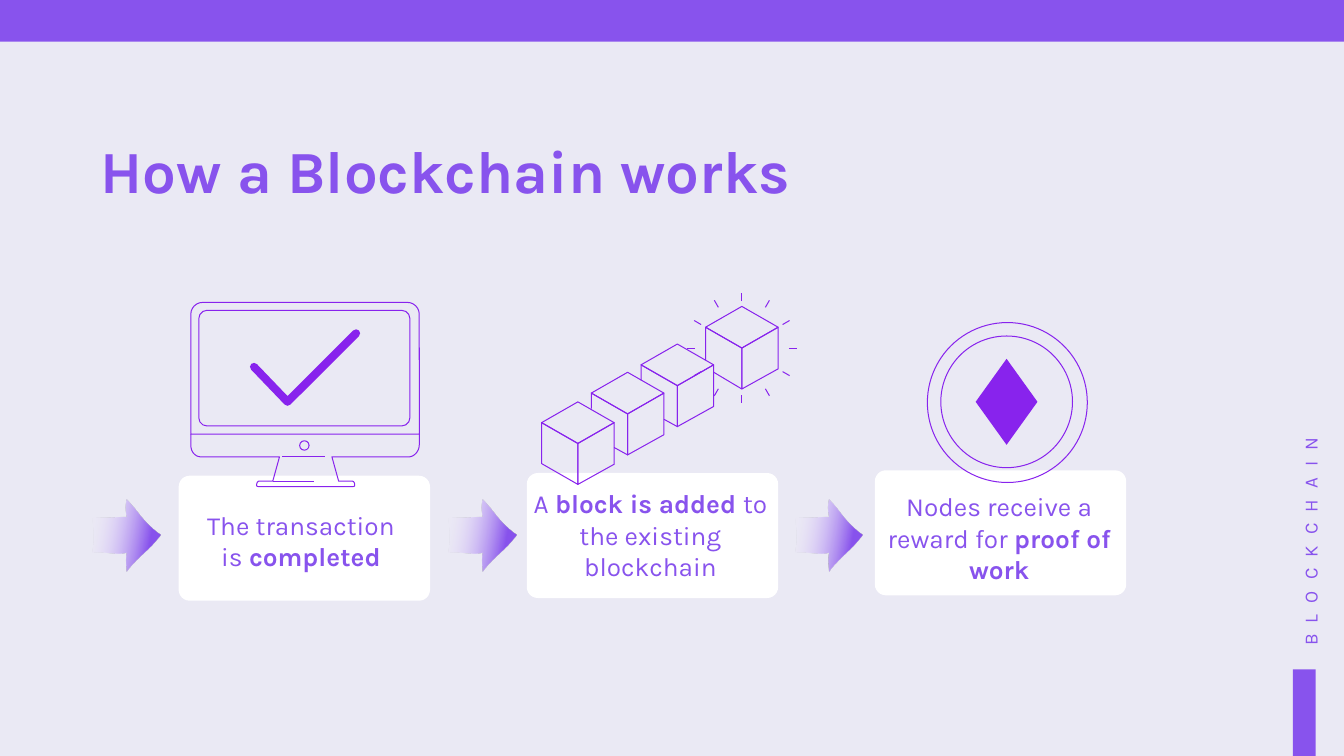
"""Builds the slide that explains the last three steps of a blockchain."""
import math
from dataclasses import dataclass

from lxml import etree
from pptx import Presentation
from pptx import util as u
from pptx.dml.color import RGBColor
from pptx.enum import shapes, text
from pptx.oxml import ns

Point = tuple[float, ...]
Run = tuple[str, bool]
Box = tuple[float, float, float, float]


@dataclass(frozen=True)
class Theme:
    background: RGBColor = RGBColor(0xEA, 0xE9, 0xF4)
    main: RGBColor = RGBColor(0x88, 0x53, 0xED)
    icon: RGBColor = RGBColor(0x88, 0x23, 0xED)
    pale: RGBColor = RGBColor(0xF9, 0xF4, 0xFE)
    card: RGBColor = RGBColor(0xFF, 0xFF, 0xFF)
    font: str = "Karla"
    title_size: float = 32
    body_size: float = 14
    label_size: float = 10
    thin: float = 0.54
    thick: float = 4.28


@dataclass(frozen=True)
class Step:
    arrow_left: float
    card_top: float
    caption_box: Box
    caption: list[Run]


@dataclass(frozen=True)
class Cube:
    x: float
    y: float
    left_start: float = 0.15
    cut: tuple[float, float] | None = None


THEME = Theme()
SLIDE_WIDTH = u.Inches(10)
SLIDE_HEIGHT = SLIDE_WIDTH * 9 // 16
CARD_LEFT, CARD_PITCH, CARD_WIDTH, CARD_HEIGHT = 1.33, 2.59, 1.87, 0.93
STEPS = [
    Step(0.69, 3.54, (1.46, 3.79, 1.56, 0.41),
         [("The transaction is ", False), ("completed", True)]),
    Step(3.34, 3.52, (3.9, 3.63, 1.88, 0.6),
         [("A ", False), ("block is added ", True), ("to the existing blockchain", False)]),
    Step(5.92, 3.5, (6.58, 3.65, 1.71, 0.41),
         [("Nodes receive a reward for ", False), ("proof of work", True)]),
]
CUBES = [Cube(4.3, 3.3), Cube(4.67, 3.08, -0.04, (-0.1, 0.25)),
         Cube(5.04, 2.87, -0.04, (-0.1, 0.25)), Cube(5.52, 2.59, 0.09, (-0.21, 0.18))]
ARROW = [(0, 0.13), (0.12, 0.14, 0.15, 0.13, 0.25, 0.13), (0.24, 0.07, 0.24, 0.05, 0.25, 0),
         (0.34, 0.09, 0.37, 0.17, 0.5, 0.26), (0.42, 0.37, 0.32, 0.43, 0.25, 0.53),
         (0.25, 0.5, 0.24, 0.45, 0.25, 0.39), (0.18, 0.41, 0.1, 0.38, 0, 0.39),
         (0.02, 0.29, 0.01, 0.21, 0, 0.13)]
STAND = [(1.42, 3.23), (1.42, 3.31), (1.42, 3.36, 1.45, 3.4, 1.5, 3.4), (2.08, 3.4),
         (2.03, 3.58), (1.93, 3.58), (1.92, 3.58, 1.91, 3.59, 1.91, 3.61),
         (1.91, 3.61, 1.91, 3.62, 1.92, 3.62), (2.63, 3.62),
         (2.63, 3.62, 2.64, 3.62, 2.64, 3.61), (2.64, 3.59, 2.63, 3.58, 2.62, 3.58),
         (2.52, 3.58), (2.47, 3.4), (3.04, 3.4), (3.08, 3.4, 3.12, 3.36, 3.12, 3.31),
         (3.12, 3.23)]


def inches(values: Point) -> list[u.Length]:
    """Turn plain numbers into lengths."""
    return [u.Inches(value) for value in values]


def paint(shape, fill: RGBColor | None = None, line: float | None = None) -> None:
    """Set fill and outline and drop the shadow."""
    shape.shadow.inherit = False
    if fill is None:
        shape.fill.background()
    else:
        shape.fill.solid()
        shape.fill.fore_color.rgb = fill
    if line is None:
        shape.line.fill.background()
    else:
        shape.line.color.rgb = THEME.icon
        shape.line.width = u.Pt(line)


def add_preset(parent, kind, box: Box, fill=None, line=None, adjust: tuple = ()):
    """Add a preset shape."""
    shape = parent.add_shape(kind, *inches(box))
    for index, value in enumerate(adjust):
        shape.adjustments[index] = value
    paint(shape, fill, line)
    return shape


def flatten(segments: list[Point], steps: int = 12) -> list[Point]:
    """Turn lines and cubic curves into a list of points."""
    points = [segments[0]]
    for segment in segments[1:]:
        if len(segment) == 2:
            points.append(segment)
            continue
        x0, y0 = points[-1]
        x1, y1, x2, y2, x3, y3 = segment
        for t in (n / steps for n in range(1, steps + 1)):
            a, b, c, d = (1 - t) ** 3, 3 * t * (1 - t) ** 2, 3 * t * t * (1 - t), t ** 3
            points.append((a * x0 + b * x1 + c * x2 + d * x3, a * y0 + b * y1 + c * y2 + d * y3))
    return points


def add_outline(parent, segments: list[Point], closed: bool = False, line: float | None = THEME.thin):
    """Add a freeform that follows the segments."""
    start, *rest = [inches(point) for point in flatten(segments)]
    builder = parent.build_freeform(*start, scale=1.0)
    builder.add_line_segments(rest, close=closed)
    shape = builder.convert_to_shape()
    paint(shape, line=line)
    return shape


def add_line(parent, start: Point, end: Point) -> None:
    """Add a thin straight line."""
    line = parent.add_connector(shapes.MSO_CONNECTOR.STRAIGHT, *inches(start + end))
    line.line.color.rgb = THEME.icon
    line.line.width = u.Pt(THEME.thin)
    etree.SubElement(line.element.spPr, ns.qn("a:effectLst"))


def write(frame, runs: list[Run], size: float, align, spacing: int = 0) -> None:
    """Write runs into a frame without margins."""
    frame.margin_left = frame.margin_top = frame.margin_right = frame.margin_bottom = 0
    frame.word_wrap = True
    frame.auto_size = text.MSO_AUTO_SIZE.NONE
    paragraph = frame.paragraphs[0]
    paragraph.alignment = align
    for words, bold in runs:
        run = paragraph.add_run()
        run.text = words
        run.font.name, run.font.size, run.font.bold = THEME.font, u.Pt(size), bold
        run.font.color.rgb = THEME.main
        if spacing:
            run.font._element.set("spc", str(spacing))


def draw_arrow(parent, left: float, top: float = 3.72) -> None:
    """Draw a curved arrow that fades in from the left."""
    moved = [tuple(v + (top if i % 2 else left) for i, v in enumerate(s)) for s in ARROW]
    arrow = add_outline(parent, moved, closed=True, line=None)
    arrow.fill.gradient()
    arrow.fill.gradient_angle = 350
    for stop, position, colour in zip(arrow.fill.gradient_stops, (0, 0.8), (THEME.pale, THEME.main)):
        stop.position = position
        stop.color.rgb = colour
    first = arrow.element.find(".//" + ns.qn("a:srgbClr"))
    etree.SubElement(first, ns.qn("a:alpha"), val="0")


def draw_monitor(parent) -> None:
    """Draw the monitor with a check mark."""
    kinds = shapes.MSO_SHAPE
    add_preset(parent, kinds.ROUND_2_SAME_RECTANGLE, (1.42, 2.25, 1.7, 0.98), None, THEME.thin, (0.09, 0))
    add_preset(parent, kinds.ROUNDED_RECTANGLE, (1.48, 2.31, 1.57, 0.86), None, THEME.thin, (0.07,))
    add_outline(parent, STAND)
    add_preset(parent, kinds.OVAL, (2.23, 3.28, 0.07, 0.07), None, THEME.thin)
    add_line(parent, (2.03, 3.58), (2.34, 3.58))
    add_line(parent, (2.1, 3.4), (2.42, 3.4))
    check = add_outline(parent, [(1.89, 2.73), (2.14, 2.99), (2.65, 2.48)], line=THEME.thick)
    outline = check.element.spPr.find(ns.qn("a:ln"))
    outline.set("cap", "rnd")
    etree.SubElement(outline, ns.qn("a:round"))


def draw_cubes(parent) -> None:
    """Draw the chain of cubes and the rays around the newest one."""
    half, rise, side = 0.27, 0.155, 0.305
    for cube in CUBES:
        x, y = cube.x, cube.y
        left = [(x - half, y + cube.left_start), (x - half, y - rise), (x, y), (x, y + side)]
        if cube.cut:
            left.append((x + cube.cut[0], y + cube.cut[1]))
        add_outline(parent, left, closed=cube.cut is None)
        add_outline(parent, [(x, y + side), (x + half, y + rise), (x + half, y - rise), (x, y)], True)
        add_outline(parent, [(x + half, y - rise), (x, y), (x - half, y - rise), (x, y - 2 * rise)], True)
    newest = CUBES[-1]
    for turn in range(12):
        across, down = math.cos(turn * math.pi / 6), math.sin(turn * math.pi / 6)
        inner, outer = ((newest.x + r * across, newest.y + r * down) for r in (0.35, 0.41))
        add_line(parent, inner, outer)


def draw_coin(parent) -> None:
    """Draw the reward coin with a plain mark."""
    for left, top, size in ((6.9, 2.4, 1.19), (7, 2.5, 0.98)):
        add_preset(parent, shapes.MSO_SHAPE.OVAL, (left, top, size, size), None, THEME.thin)
    add_preset(parent, shapes.MSO_SHAPE.DIAMOND, (7.26, 2.67, 0.46, 0.64), THEME.icon)


def build() -> None:
    """Build the slide and save it."""
    deck = Presentation()
    deck.slide_width, deck.slide_height = SLIDE_WIDTH, SLIDE_HEIGHT
    slide = deck.slides.add_slide(deck.slide_layouts[5])
    slide.background.fill.solid()
    slide.background.fill.fore_color.rgb = THEME.background
    parts = slide.shapes
    for bar in ((0, 0, 10, 0.31), (9.62, 4.98, 0.17, 0.65)):
        add_preset(parts, shapes.MSO_SHAPE.RECTANGLE, bar, THEME.main)

    title = parts.title
    title.left, title.top, title.width, title.height = inches((0.75, 1.01, 6.33, 0.52))
    title.text_frame.vertical_anchor = text.MSO_ANCHOR.BOTTOM
    write(title.text_frame, [("How a Blockchain works", True)], THEME.title_size, text.PP_ALIGN.LEFT)
    label = parts.add_textbox(*inches((7.92, 2.94, 3.61, 0.12)))
    label.rotation = 270
    write(label.text_frame, [("BLOCKCHAIN", False)], THEME.label_size, text.PP_ALIGN.LEFT, 600)

    for index, (step, draw_icon) in enumerate(zip(STEPS, (draw_monitor, draw_cubes, draw_coin))):
        card = (CARD_LEFT + index * CARD_PITCH, step.card_top, CARD_WIDTH, CARD_HEIGHT)
        add_preset(parts, shapes.MSO_SHAPE.ROUNDED_RECTANGLE, card, THEME.card, None, (0.088,))
        caption = parts.add_textbox(*inches(step.caption_box))
        write(caption.text_frame, step.caption, THEME.body_size, text.PP_ALIGN.CENTER)
        draw_icon(parts.add_group_shape().shapes)
        draw_arrow(parts, step.arrow_left)
    deck.save("out.pptx")


build()
